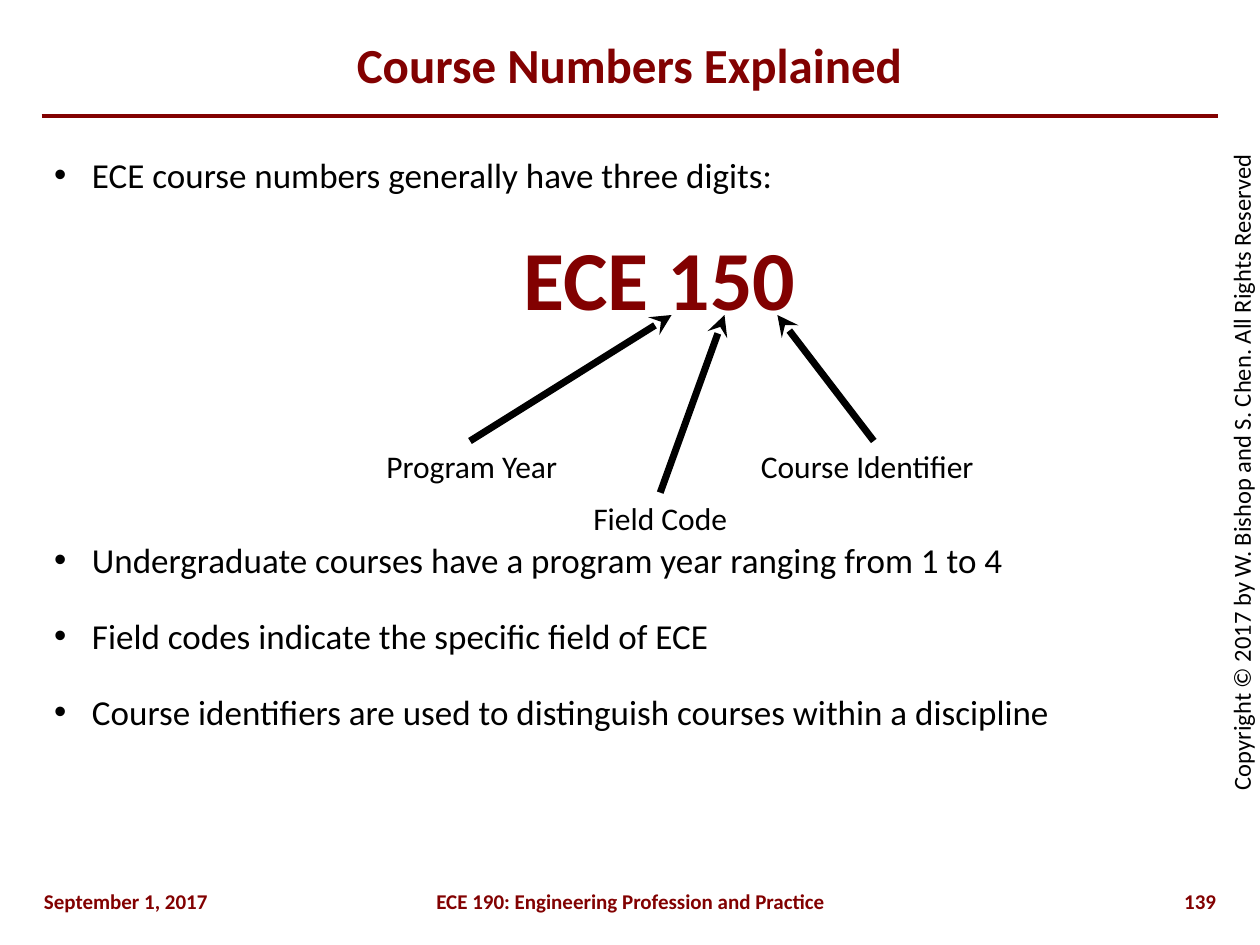
from lxml import etree
from pptx import Presentation
from pptx.dml.color import RGBColor
from pptx.enum.shapes import MSO_CONNECTOR
from pptx.enum.text import MSO_ANCHOR, MSO_AUTO_SIZE, PP_ALIGN
from pptx.oxml.ns import qn
from pptx.util import Inches, Pt

MAROON = "820101"
BLACK = "000000"
LEFT, CENTER, RIGHT = PP_ALIGN.LEFT, PP_ALIGN.CENTER, PP_ALIGN.RIGHT

INTRO = "ECE course numbers generally have three digits:"
DETAILS = [
    "Undergraduate courses have a program year ranging from 1 to 4",
    "Field codes indicate the specific field of ECE",
    "Course identifiers are used to distinguish courses within a discipline",
]
BULLET_GAP = 14.6  # points before a bullet
DIAGRAM_GAP = 190.6  # points left free for the diagram

# text, left, top, width, alignment, x of the digit it points to
DIGIT_LABELS = [
    ("Program Year", 2.94, 3.5, 1.58, RIGHT, 5.33),
    ("Course Identifier", 5.94, 3.5, 1.99, LEFT, 6.17),
    ("Field Code", 4.53, 3.91, 1.42, CENTER, 5.75),
]
DIGITS_BOTTOM = 2.5

FOOTERS = [
    ("September 1, 2017", 0.25, 1.75, LEFT),
    ("ECE 190: Engineering Profession and Practice", 1.67, 6.67, CENTER),
    ("139", 8.5, 1.25, RIGHT),
]


def color(hex_value):
    return RGBColor.from_string(hex_value)


def format_font(paragraph, size, hex_value, bold=False):
    font = paragraph.font
    for name, value in {"name": "Calibri", "size": Pt(size), "bold": bold}.items():
        setattr(font, name, value)
    font.color.rgb = color(hex_value)


def place(shape, left, top, width, height):
    box = {"left": left, "top": top, "width": width, "height": height}
    for name, value in box.items():
        setattr(shape, name, Inches(value))


def add_label(slide, text, box, size, hex_value, align, bold=False):
    label = slide.shapes.add_textbox(*map(Inches, box))
    label.text_frame.word_wrap = True
    paragraph = label.text_frame.paragraphs[0]
    paragraph.text = text
    paragraph.alignment = align
    format_font(paragraph, size, hex_value, bold)
    return label


def add_line(slide, start, end, hex_value, width):
    line = slide.shapes.add_connector(
        MSO_CONNECTOR.STRAIGHT, *map(Inches, (*start, *end)))
    line.line.color.rgb = color(hex_value)
    line.line.width = Pt(width)
    etree.SubElement(line._element.spPr, qn("a:effectLst"))
    return line


def add_arrow_from(slide, label, end):
    """Draw an arrow from the middle of the label's top side."""
    arrow = add_line(slide, end, end, BLACK, 4)
    arrow.begin_connect(label, 0)
    etree.SubElement(arrow.line._get_or_add_ln(), qn("a:tailEnd"), type="stealth")


def fill_title(title, text):
    place(title, 0.33, 0.17, 9.33, 0.67)
    frame = title.text_frame
    frame.auto_size = MSO_AUTO_SIZE.NONE
    frame.vertical_anchor = MSO_ANCHOR.MIDDLE
    paragraph = frame.paragraphs[0]
    paragraph.text = text
    paragraph.alignment = CENTER
    format_font(paragraph, 28, MAROON, bold=True)


def add_bullet(paragraph, text, space_before):
    paragraph.text = text
    properties = paragraph._p.get_or_add_pPr()
    properties.set("marL", str(Inches(0.3)))
    properties.set("indent", str(Inches(-0.3)))
    paragraph.space_before = Pt(space_before)
    paragraph.space_after = Pt(5)
    etree.SubElement(properties, qn("a:buFont"), typeface="Arial")
    etree.SubElement(properties, qn("a:buChar"), char="•")
    format_font(paragraph, 20, BLACK)


def fill_body(body):
    place(body, 0.33, 1.17, 9.33, 5.58)
    frame = body.text_frame
    frame.auto_size = MSO_AUTO_SIZE.NONE
    add_bullet(frame.paragraphs[0], INTRO, 0)
    for index, detail in enumerate(DETAILS):
        gap = BULLET_GAP if index else DIAGRAM_GAP
        add_bullet(frame.add_paragraph(), detail, gap)


def add_diagram(slide):
    add_label(slide, "ECE 150", (3.89, 1.75, 2.69, 0.91), 48, MAROON, CENTER, True)
    for text, left, top, width, align, digit_x in DIGIT_LABELS:
        label = add_label(slide, text, (left, top, width, 0.4), 18, BLACK, align)
        add_arrow_from(slide, label, (digit_x, DIGITS_BOTTOM))


def main():
    presentation = Presentation()
    presentation.slide_width = Inches(10)
    presentation.slide_height = Inches(7.5)
    slide = presentation.slides.add_slide(presentation.slide_layouts[1])

    fill_title(slide.shapes.title, "Course Numbers Explained")
    fill_body(slide.placeholders[1])
    add_line(slide, (0.33, 0.92), (9.67, 0.92), MAROON, 2.25)
    notice = add_label(
        slide, "Copyright © 2017 by W. Bishop and S. Chen. All Rights Reserved",
        (6.27, 3.58, 7.17, 0.34), 14, BLACK, CENTER)
    notice.rotation = 270
    for text, left, width, align in FOOTERS:
        add_label(slide, text, (left, 7, width, 0.25), 12, MAROON, align, True)
    add_diagram(slide)
    presentation.save("out.pptx")


if __name__ == "__main__":
    main()
